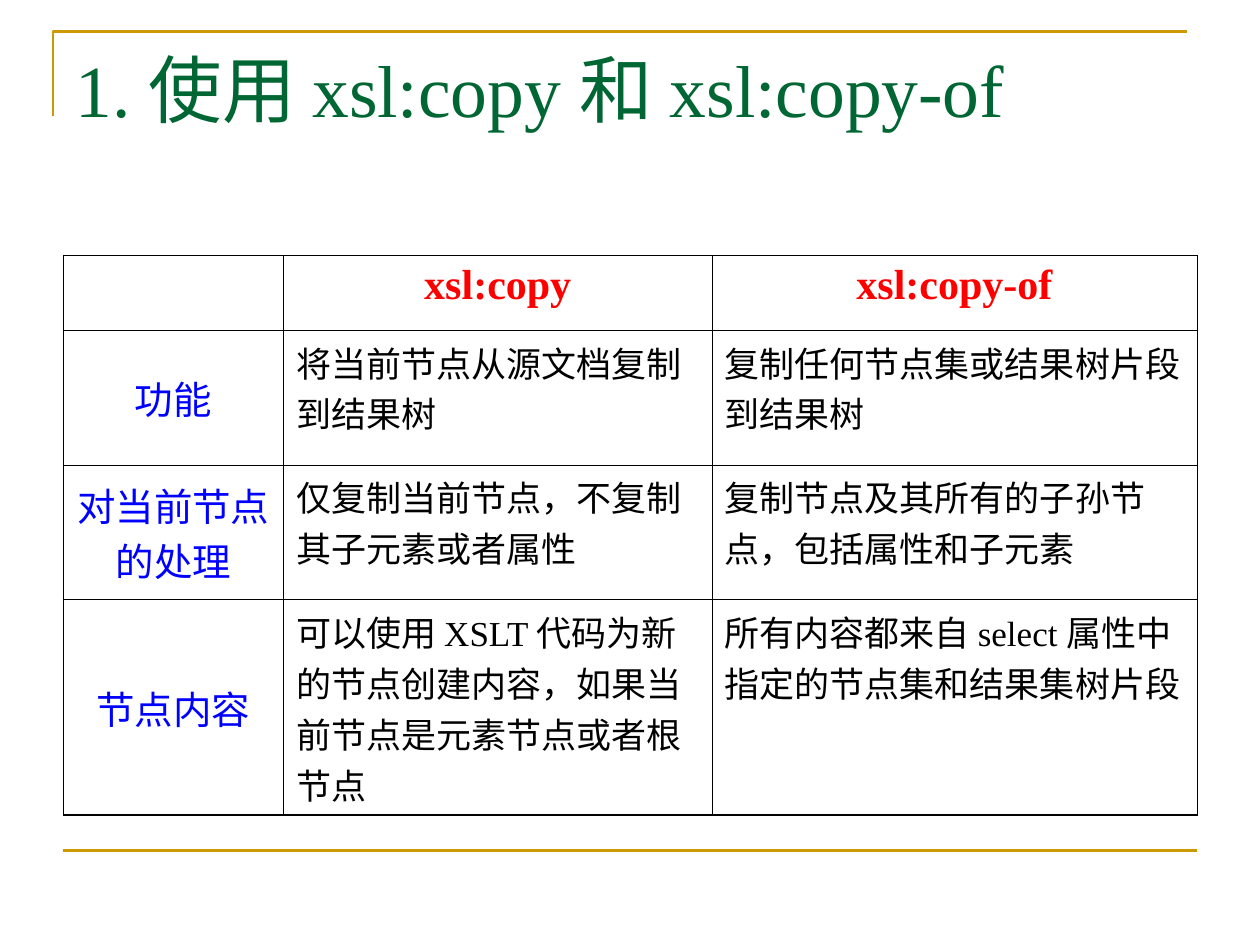
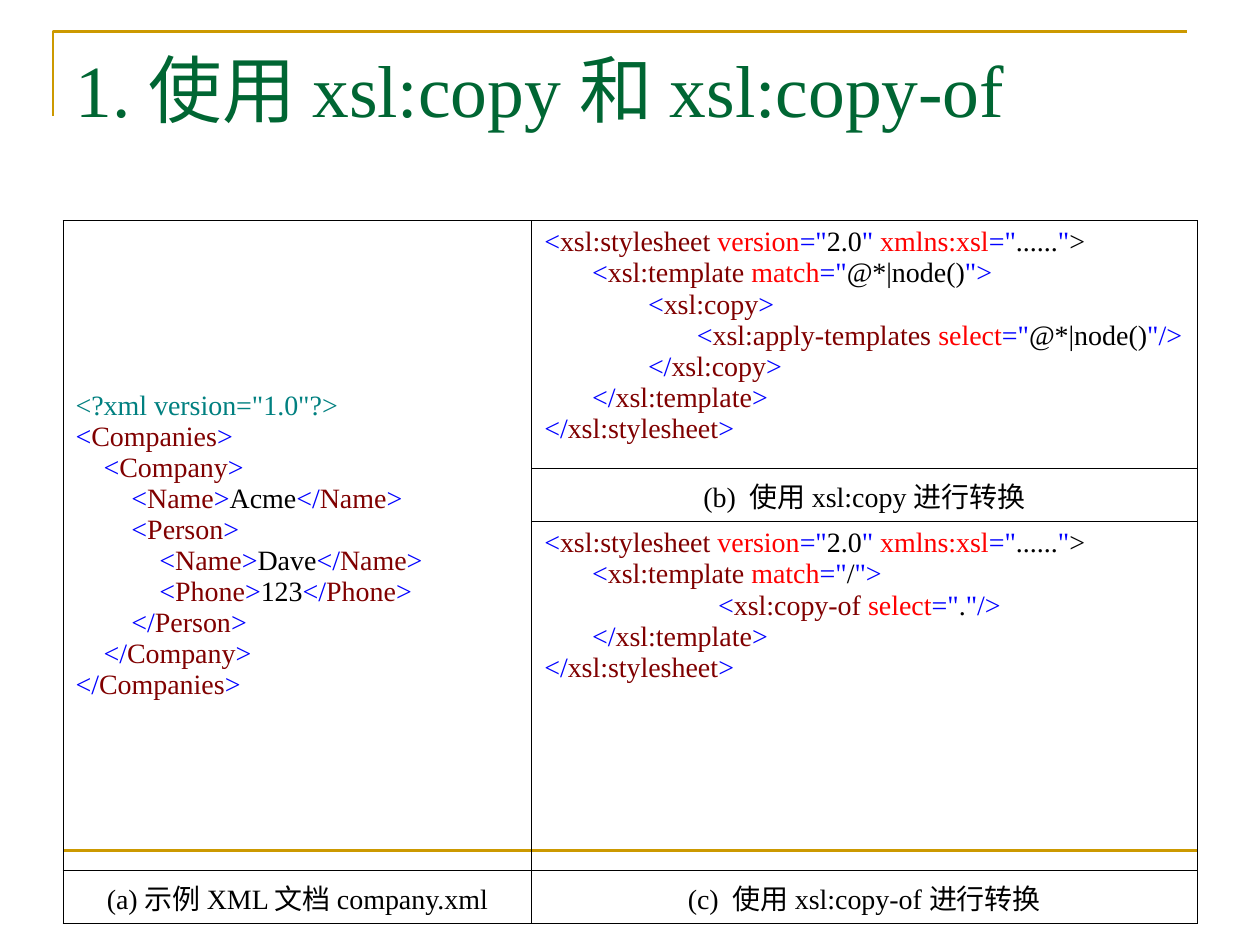
"""Build two slides that compare xsl:copy with xsl:copy-of."""
from dataclasses import dataclass
from itertools import groupby

from lxml.etree import SubElement
from pptx import Presentation
from pptx.dml.color import RGBColor
from pptx.enum.shapes import MSO_CONNECTOR
from pptx.enum.text import MSO_ANCHOR, PP_ALIGN
from pptx.oxml.ns import qn
from pptx.util import Inches, Pt

TITLE = "1. 使用 xsl:copy 和 xsl:copy-of"

COMPARISON = [
    ("", "xsl:copy", "xsl:copy-of"),
    ("功能", "将当前节点从源文档复制到结果树", "复制任何节点集或结果树片段到结果树"),
    ("对当前节点的处理", "仅复制当前节点，不复制其子元素或者属性",
     "复制节点及其所有的子孙节点，包括属性和子元素"),
    ("节点内容", "可以使用 XSLT 代码为新的节点创建内容，如果当前节点是元素节点或者根节点",
     "所有内容都来自 select 属性中指定的节点集和结果集树片段"),
]

COMPANY_XML = """<?xml version="1.0"?>
<Companies>
    <Company>
        <Name>Acme</Name>
        <Person>
            <Name>Dave</Name>
            <Phone>123</Phone>
        </Person>
    </Company>
</Companies>"""

COPY_XSL = """<xsl:stylesheet version="2.0" xmlns:xsl="......">
\t<xsl:template match="@*|node()">
\t        <xsl:copy>
\t               <xsl:apply-templates select="@*|node()"/>
\t        </xsl:copy>
\t</xsl:template>
</xsl:stylesheet>"""

COPY_OF_XSL = """<xsl:stylesheet version="2.0" xmlns:xsl="......">
\t<xsl:template match="/">
\t\t<xsl:copy-of select="."/>
\t</xsl:template>
</xsl:stylesheet>"""

LISTINGS = {(0, 0): COMPANY_XML, (0, 1): COPY_XSL, (2, 1): COPY_OF_XSL}
CAPTIONS = {
    (1, 1): "(b)  使用 xsl:copy 进行转换",
    (3, 0): "(a) 示例 XML 文档 company.xml",
    (3, 1): "(c)  使用 xsl:copy-of 进行转换",
}
BLACK_END = '"......">'


@dataclass(frozen=True)
class Theme:
    font: str = "Times New Roman"
    title: str = "006633"
    rule: str = "CC9900"
    text: str = "000000"
    heading: str = "FF0000"
    label: str = "0000FF"
    prolog: str = "008080"
    mark: str = "0000FF"
    element: str = "800000"
    attribute: str = "FF0000"
    title_size: int = 42
    heading_size: int = 24
    label_size: int = 22
    body_size: int = 20
    code_size: int = 16
    rule_width: float = 1.5
    border: float = 0.45
    thick_border: float = 0.96


T = Theme()


def style(p, size, color=None, bold=None, align=None):
    if align is not None:
        p.alignment = align
    p._p.get_or_add_pPr().set("hangingPunct", "0")
    p.font.name, p.font.size, p.font.bold = T.font, Pt(size), bold
    if color:
        p.font.color.rgb = RGBColor.from_string(color)


def hang(p):
    pPr = p._p.get_or_add_pPr()
    pPr.set("marL", str(Inches(0.38)))
    pPr.set("indent", str(-Inches(0.38)))
    pPr.set("defTabSz", str(Inches(1)))


def code_colors(line):
    if line.startswith("<?"):
        return [T.prolog] * len(line)
    colors, in_tag, quoted, name = [], False, False, T.element
    for ch in line:
        if ch == '"':
            quoted = not quoted
            color = T.mark
        elif quoted:
            color = T.text
        elif ch == "<":
            in_tag, name, color = True, T.element, T.mark
        elif ch == ">":
            in_tag, color = False, T.mark
        elif not in_tag:
            color = T.text
        elif ch in "/=":
            color = T.mark
        else:
            name = T.attribute if ch == " " else name
            color = name
        colors.append(color)
    if line.endswith(BLACK_END):
        colors[-1] = T.text
    return colors


def write_code(cell, source):
    tf = cell.text_frame
    for i, line in enumerate(source.split("\n")):
        p = tf.add_paragraph() if i else tf.paragraphs[0]
        hang(p)
        style(p, T.code_size)
        for color, pairs in groupby(zip(code_colors(line), line), lambda pair: pair[0]):
            r = p.add_run()
            r.text = "".join(ch for _, ch in pairs)
            r.font.color.rgb = RGBColor.from_string(color)


def set_borders(cell, bottom):
    tcPr = cell._tc.get_or_add_tcPr()
    for side, width in zip("LRTB", (T.border, T.border, T.border, bottom)):
        ln = SubElement(tcPr, qn("a:ln" + side), w=str(Pt(width)))
        fill = SubElement(ln, qn("a:solidFill"))
        SubElement(fill, qn("a:srgbClr"), val=T.text)


def add_grid(s, top, widths, heights, bottom_edge):
    table = s.shapes.add_table(len(heights), len(widths), Inches(0.5), Inches(top),
                               Inches(sum(widths)), Inches(sum(heights))).table
    table.first_row = table.horz_banding = False
    for col, width in zip(table.columns, widths):
        col.width = Inches(width)
    last = len(heights) - 1
    for i, (row, height) in enumerate(zip(table.rows, heights)):
        row.height = Inches(height)
        for cell in row.cells:
            set_borders(cell, bottom_edge if i == last else T.border)
            cell.fill.background()
    return table


def set_rule(line):
    line.color.rgb = RGBColor.from_string(T.rule)
    line.width = Pt(T.rule_width)


def add_base(prs):
    s = prs.slides.add_slide(prs.slide_layouts[6])
    corner = s.shapes.build_freeform(Inches(0.42), Inches(0.92))
    corner.add_line_segments([(Inches(0.42), Inches(0.25)), (Inches(9.42), Inches(0.25))],
                             close=False)
    sp = corner.convert_to_shape()
    sp.shadow.inherit = False
    sp.fill.background()
    set_rule(sp.line)

    footer = s.shapes.add_connector(MSO_CONNECTOR.STRAIGHT, Inches(0.5), Inches(6.75),
                                    Inches(9.5), Inches(6.75))
    set_rule(footer.line)
    SubElement(footer._element.spPr, qn("a:effectLst"))

    tf = s.shapes.add_textbox(Inches(0.5), Inches(0.3), Inches(9), Inches(1.25)).text_frame
    tf.word_wrap = True
    p = tf.paragraphs[0]
    p.text = TITLE
    style(p, T.title_size, T.title)
    return s


def add_comparison(prs):
    table = add_grid(add_base(prs), 2.03, (1.75, 3.4, 3.85), (0.59, 1.07, 1.07, 1.71),
                     T.thick_border)
    for i, row in enumerate(COMPARISON):
        for j, text in enumerate(row):
            cell = table.cell(i, j)
            p = cell.text_frame.paragraphs[0]
            p.text = text
            if i == 0:
                style(p, T.heading_size, T.heading, True, PP_ALIGN.CENTER)
            elif j == 0:
                cell.vertical_anchor = MSO_ANCHOR.MIDDLE
                style(p, T.label_size, T.label, align=PP_ALIGN.CENTER)
            else:
                style(p, T.body_size, T.text)


def add_listings(prs):
    table = add_grid(add_base(prs), 1.75, (3.72, 5.28), (1.97, 0.42, 2.77, 0.42), T.border)
    table.cell(0, 0).merge(table.cell(2, 0))
    table.cell(0, 0).vertical_anchor = MSO_ANCHOR.MIDDLE
    for place, source in LISTINGS.items():
        write_code(table.cell(*place), source)
    for place, text in CAPTIONS.items():
        p = table.cell(*place).text_frame.paragraphs[0]
        p.text = text
        hang(p)
        style(p, T.code_size, T.text, align=PP_ALIGN.CENTER)


def main():
    prs = Presentation()
    prs.slide_width, prs.slide_height = Inches(10), Inches(7.5)
    add_comparison(prs)
    add_listings(prs)
    prs.save("out.pptx")


if __name__ == "__main__":
    main()
